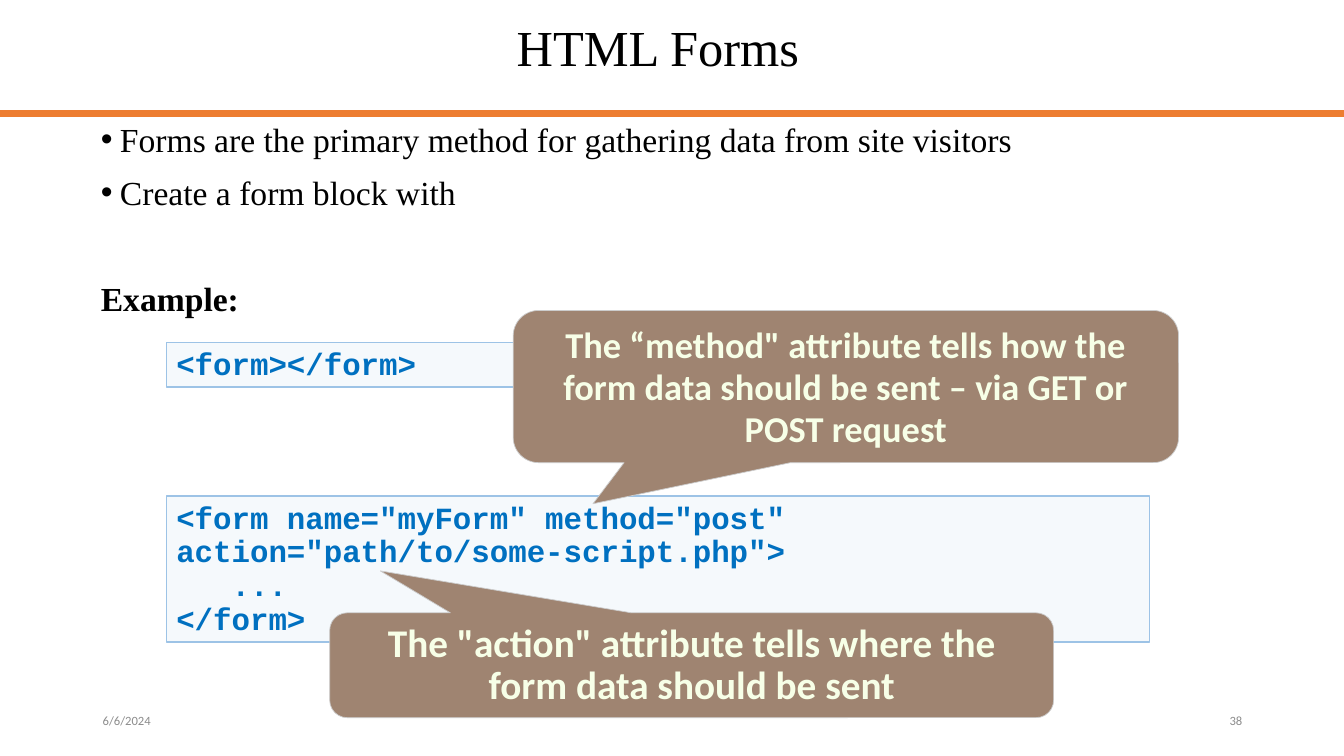
import pptx
import pptx.dml.color
import pptx.enum.shapes
import pptx.enum.text
import pptx.oxml.ns
import pptx.util
from lxml import etree

W, H = 13.33, 7.5
SERIF, MONO, SANS = "Times New Roman", "Courier New", "Calibri"
SHAPE = pptx.enum.shapes.MSO_SHAPE
ALIGN = pptx.enum.text.PP_ALIGN
MIDDLE = pptx.enum.text.MSO_ANCHOR.MIDDLE


def rgb(value):
    """Turn a hex string into a colour."""
    return pptx.dml.color.RGBColor.from_string(value)


def place(sp, box):
    """Move a shape to a box given in inches."""
    sp.left, sp.top, sp.width, sp.height = map(pptx.util.Inches, box)


def sub(parent, tag, **attrs):
    """Append a DrawingML element to a parent."""
    return etree.SubElement(parent, pptx.oxml.ns.qn(tag), attrs)


def write(p, text, size=24, font=SERIF, color="000000", bold=False,
          align=ALIGN.LEFT, spacing=None, before=0):
    """Write one formatted run into a paragraph."""
    p.alignment = align
    p.space_before = pptx.util.Pt(before)
    if spacing:
        p.line_spacing = spacing
    r = p.add_run()
    r.text = text
    r.font.size, r.font.name, r.font.bold = pptx.util.Pt(size), font, bold
    r.font.color.rgb = rgb(color)


def header(s, box):
    """Fill the title and draw the rule below it."""
    title = s.shapes.title
    place(title, box)
    title.text_frame.vertical_anchor = MIDDLE
    write(title.text_frame.paragraphs[0], "HTML Forms", size=36,
          align=ALIGN.CENTER, spacing=0.9)
    y = pptx.util.Inches(H * 0.15)
    rule = s.shapes.add_connector(pptx.enum.shapes.MSO_CONNECTOR.STRAIGHT,
                                  0, y, pptx.util.Inches(W), y)
    rule.line.color.rgb = rgb("ED7D31")
    rule.line.width = pptx.util.Pt(4.5)
    sub(rule._element.spPr, "a:effectLst")


def body(s, box):
    """Fill the body with two bullets and a bold heading."""
    sp = s.placeholders[1]
    place(sp, box)
    tf = sp.text_frame
    tf.auto_size = pptx.enum.text.MSO_AUTO_SIZE.NONE
    lines = [
        ("Forms are the primary method for gathering data from site visitors", True, 0),
        ("Create a form block with", True, 12),
        ("Example:", False, 50),
    ]
    for i, (text, bullet, before) in enumerate(lines):
        p = tf.add_paragraph() if i else tf.paragraphs[0]
        pPr = p._p.get_or_add_pPr()
        indent = pptx.util.Inches(0.19) if bullet else 0
        pPr.set("marL", str(indent))
        pPr.set("indent", str(-indent))
        if bullet:
            sub(pPr, "a:buFont", typeface="Arial")
            sub(pPr, "a:buChar", char="•")
        else:
            sub(pPr, "a:buNone")
        write(p, text, bold=not bullet, spacing=0.9, before=before)


def panel(s, kind, box, fill, line, width, lines, inset=0.1, **fmt):
    """Draw a filled, outlined shape with lines of bold text."""
    sp = s.shapes.add_shape(kind, 0, 0, 0, 0)
    place(sp, box)
    sp.shadow.inherit = False
    sp.fill.solid()
    sp.fill.fore_color.rgb = rgb(fill)
    sp.line.color.rgb = rgb(line)
    sp.line.width = pptx.util.Pt(width)
    tf = sp.text_frame
    tf.word_wrap = True
    tf.vertical_anchor = MIDDLE
    tf.margin_left = tf.margin_right = pptx.util.Inches(inset)
    for i, text in enumerate(lines):
        p = tf.add_paragraph() if i else tf.paragraphs[0]
        write(p, text, bold=True, **fmt)
    return sp


def code_box(s, box, lines):
    """Draw a translucent box of source code."""
    sp = panel(s, SHAPE.RECTANGLE, box, "BDD7EE", "9DC3E6", 1, lines, size=22,
               font=MONO, color="0070C0", spacing=pptx.util.Pt(24))
    color = sp._element.spPr.find(".//" + pptx.oxml.ns.qn("a:srgbClr"))
    sub(color, "a:alpha", val="15000")


def callout(s, box, tip, text, size):
    """Draw a rounded callout whose tip is a share of its size."""
    sp = panel(s, SHAPE.ROUNDED_RECTANGULAR_CALLOUT, box, "9F8471", "CCCCCC", 0.5,
               [text], inset=0.2, size=size, font=SANS, color="F7FFE7",
               align=ALIGN.CENTER, spacing=pptx.util.Pt(30))
    sp.adjustments[0], sp.adjustments[1] = tip


def footer(s, box):
    """Put the date at the left and the slide number at the right."""
    for text, align in (("6/6/2024", ALIGN.LEFT), ("38", ALIGN.RIGHT)):
        sp = s.shapes.add_textbox(0, 0, 0, 0)
        place(sp, box)
        if align == ALIGN.RIGHT:
            sp.left += pptx.util.Inches(box[2] + 5.5)
        tf = sp.text_frame
        tf.word_wrap = True
        tf.vertical_anchor = MIDDLE
        write(tf.paragraphs[0], text, size=9, font=SANS, color="8C8C8C", align=align)


def main():
    """Build the slide and save it."""
    prs = pptx.Presentation()
    prs.slide_width, prs.slide_height = pptx.util.Inches(W), pptx.util.Inches(H)
    s = prs.slides.add_slide(prs.slide_layouts[1])
    header(s, (1.91, 0, 9.23, 1))
    body(s, (0.9, 1.17, 11.32, 6.17))
    code_box(s, (1.65, 3.4, 9.75, 0.44), ["<form></form>"])
    code_box(s, (1.65, 4.92, 9.75, 1.45), [
        '<form name="myForm" method="post" action="path/to/some-script.php">',
        "   ...",
        "</form>",
    ])
    callout(s, (3.27, 6.08, 7.18, 1.04), (-0.43, -0.9),
            'The "action" attribute tells where the form data should be sent', 28)
    callout(s, (5.09, 3.08, 6.6, 1.51), (-0.38, 0.77),
            'The “method" attribute tells how the form data should be sent '
            '– via GET or POST request', 26)
    footer(s, (0.92, 6.95, 3, 0.4))
    prs.save("out.pptx")


if __name__ == "__main__":
    main()
